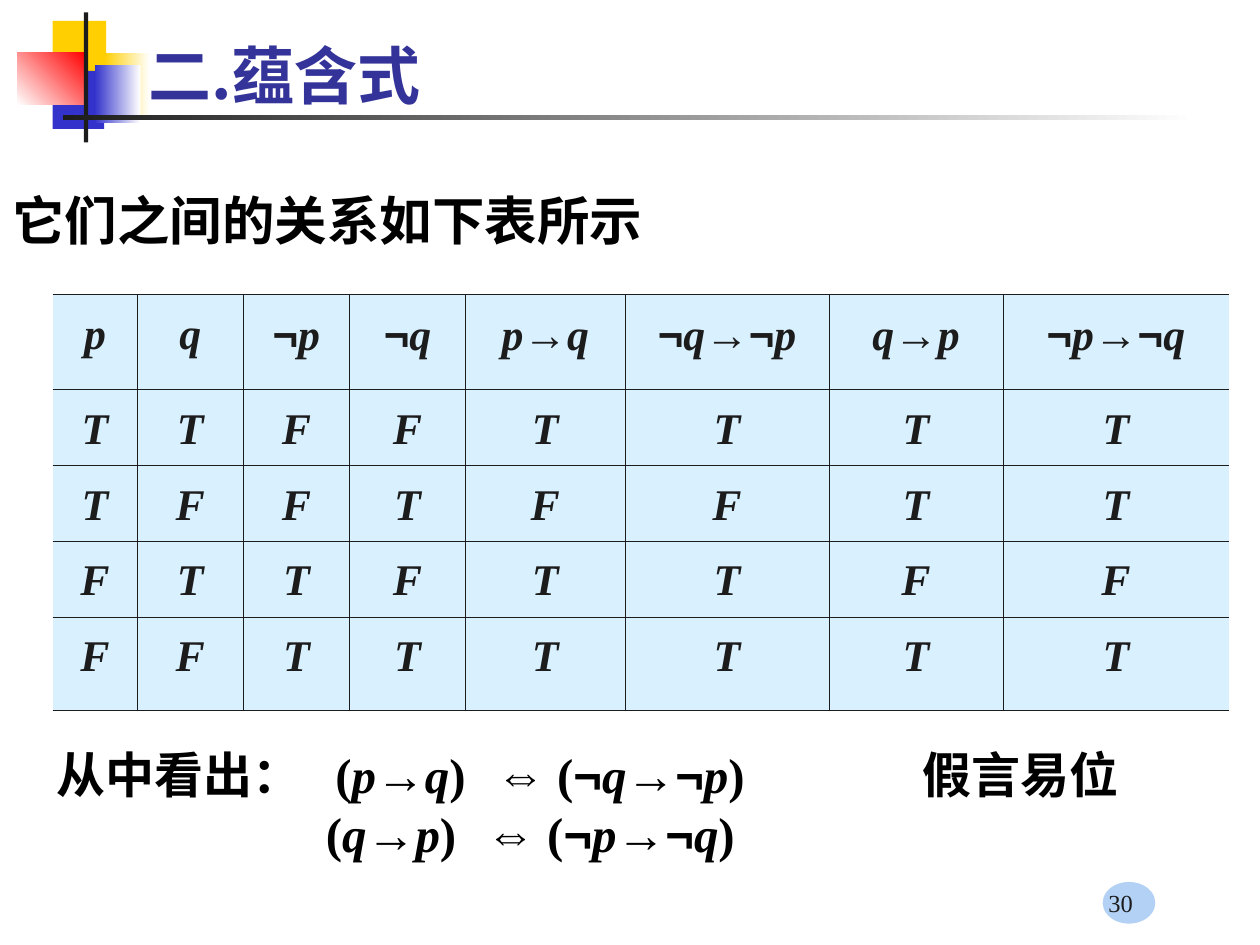
from itertools import groupby

from lxml.etree import SubElement
from pptx import Presentation
from pptx.dml.color import RGBColor
from pptx.enum.shapes import MSO_SHAPE
from pptx.enum.text import MSO_ANCHOR, PP_ALIGN
from pptx.oxml.ns import qn
from pptx.util import Cm, Pt

THEME = {
    "ink": "1C1C1C", "black": "000000", "title": "333399", "cell": "D9F1FF",
    "yellow": "FFCF01", "blue": "3333CC", "red": "FF0000", "white": "FFFFFF",
    "badge": "B2D1F4",
    "cjk": "Noto Sans CJK SC", "sans": "Roboto",
    "serif": "Times New Roman", "symbol": "Arial",
    "title_size": 36, "body_size": 30, "formula_size": 28,
    "table_size": 25, "number_size": 14, "border": 0.45,
}

TITLE = "二.蕴含式"
INTRO = "它们之间的关系如下表所示"
TRUTH_TABLE = [
    ["p", "q", "¬p", "¬q", "p→q", "¬q→¬p", "q→p", "¬p→¬q"],
    list("TTFFTTTT"),
    list("TFFTFFTT"),
    list("FTTFTTFF"),
    list("FFTTTTTT"),
]
# Each line with the tab stops (cm) that align its parts
CONCLUSION = [
    ("从中看出：\t(p→q)\t⇔ (¬q→¬p)\t假言易位", (5.62, 8.86, 17.46)),
    ("\t(q→p)\t⇔ (¬p→¬q)", (5.43, 8.66)),
]
PAGE_NUMBER = "30"

# Left, top, width, height in cm; then the colours from start to end and the angle
DECORATION = [
    (MSO_SHAPE.OVAL, (22.23, 17.78, 1.06, 0.84), ["badge"], 0),
    (MSO_SHAPE.RECTANGLE, (1.06, 0.42, 1.08, 1.16), ["yellow"], 0),
    (MSO_SHAPE.RECTANGLE, (2.1, 1.06, 0.92, 1.32), ["yellow", "white"], 0),
    (MSO_SHAPE.RECTANGLE, (1.06, 1.43, 1.04, 1.17), ["blue"], 0),
    (MSO_SHAPE.RECTANGLE, (1.91, 1.32, 0.92, 1.17), ["blue", "white"], 0),
    (MSO_SHAPE.RECTANGLE, (0.35, 1.06, 1.39, 1.05), ["white", "red"], 45),
    (MSO_SHAPE.RECTANGLE, (1.69, 0.25, 0.09, 2.62), ["ink"], 0),
    (MSO_SHAPE.RECTANGLE, (1.27, 2.32, 22.86, 0.1), ["ink", "white"], 0),
]
COLUMN_WIDTHS = [1.71, 2.13, 2.15, 2.33, 3.22, 4.11, 3.51, 4.55]
ROW_HEIGHTS = [1.91, 1.53, 1.53, 1.53, 1.88]


def color(name):
    return RGBColor.from_string(THEME[name])


def place(bounds):
    return [Cm(length) for length in bounds]


def add_decoration(page, kind, bounds, colors, angle):
    shape = page.shapes.add_shape(kind, *place(bounds))
    shape.shadow.inherit = False
    shape.line.fill.background()
    if len(colors) == 1:
        shape.fill.solid()
        shape.fill.fore_color.rgb = color(colors[0])
        return
    shape.fill.gradient()
    shape.fill.gradient_angle = angle
    for stop, name in zip(shape.fill.gradient_stops, colors):
        stop.color.rgb = color(name)


def style_run(span, font, size, ink, bold=True, italic=False):
    span.font.name = THEME[font]
    span.font.size = Pt(THEME[size])
    span.font.color.rgb = color(ink)
    span.font.bold = bold
    span.font.italic = italic
    SubElement(span.font._element, qn("a:ea")).set("typeface", THEME["cjk"])


def add_text(page, bounds, text, font, size, ink, bold=True):
    box = page.shapes.add_textbox(*place(bounds))
    box.text_frame.word_wrap = True
    box.text_frame.text = text
    paragraph = box.text_frame.paragraphs[0]
    style_run(paragraph.runs[0], font, size, ink, bold)
    return box.text_frame, paragraph


def character_kind(character):
    if character in "¬→⇔":
        return "symbol"
    return "variable" if character.isascii() and character.isalpha() else "plain"


def write_formula(paragraph, text, size, ink):
    """Set variables in italic serif and logic signs in the symbol font."""
    for kind, characters in groupby(text, character_kind):
        span = paragraph.add_run()
        span.text = "".join(characters)
        font = "symbol" if kind == "symbol" else "serif"
        style_run(span, font, size, ink, italic=kind == "variable")


def set_tab_stops(paragraph, stops):
    tab_list = SubElement(paragraph._p.get_or_add_pPr(), qn("a:tabLst"))
    for stop in stops:
        SubElement(tab_list, qn("a:tab"), pos=str(Cm(stop)), algn="l")


def set_border(cell, side, visible):
    line = SubElement(cell._tc.get_or_add_tcPr(), qn(f"a:ln{side}"),
                      w=str(Pt(THEME["border"])))
    if visible:
        fill = SubElement(line, qn("a:solidFill"))
        SubElement(fill, qn("a:srgbClr"), val=THEME["ink"])
    else:
        SubElement(line, qn("a:noFill"))


def add_truth_table(page):
    bounds = (1.06, 5.94, sum(COLUMN_WIDTHS), sum(ROW_HEIGHTS))
    table = page.shapes.add_table(
        len(ROW_HEIGHTS), len(COLUMN_WIDTHS), *place(bounds)).table
    table.first_row = table.horz_banding = False
    for column, width in zip(table.columns, COLUMN_WIDTHS):
        column.width = Cm(width)
    last = len(COLUMN_WIDTHS) - 1
    for row, height, values in zip(table.rows, ROW_HEIGHTS, TRUTH_TABLE):
        row.height = Cm(height)
        for index, (cell, value) in enumerate(zip(row.cells, values)):
            for side, visible in (("L", index > 0), ("R", index < last),
                                  ("T", True), ("B", True)):
                set_border(cell, side, visible)
            cell.fill.solid()
            cell.fill.fore_color.rgb = color("cell")
            paragraph = cell.text_frame.paragraphs[0]
            paragraph.alignment = PP_ALIGN.CENTER
            paragraph.line_spacing = 1.2
            paragraph.space_before = Pt(6.2)
            write_formula(paragraph, value, "table_size", "ink")


def add_conclusion(page):
    box = page.shapes.add_textbox(*place((0.89, 14.88, 23.8, 2.64)))
    frame = box.text_frame
    frame.word_wrap = True
    for index, (text, stops) in enumerate(CONCLUSION):
        paragraph = frame.add_paragraph() if index else frame.paragraphs[0]
        set_tab_stops(paragraph, stops)
        write_formula(paragraph, text, "formula_size", "black")


def main():
    deck = Presentation()
    deck.slide_width, deck.slide_height = Cm(25.4), Cm(19.05)
    page = deck.slides.add_slide(deck.slide_layouts[6])
    for item in DECORATION:
        add_decoration(page, *item)

    frame, _ = add_text(page, (2.74, 0.64, 21.64, 1.73), TITLE,
                        "cjk", "title_size", "title")
    frame.vertical_anchor = MSO_ANCHOR.MIDDLE

    add_truth_table(page)

    _, paragraph = add_text(page, (0, 3.53, 22.86, 1.88), INTRO,
                            "sans", "body_size", "black")
    paragraph.line_spacing = 1.1
    paragraph.space_before = Pt(7.5)

    add_conclusion(page)

    frame, paragraph = add_text(page, (17.81, 17.35, 5.28, 1.27), PAGE_NUMBER,
                                "serif", "number_size", "ink", bold=False)
    frame.vertical_anchor = MSO_ANCHOR.BOTTOM
    paragraph.alignment = PP_ALIGN.RIGHT
    deck.save("out.pptx")


if __name__ == "__main__":
    main()
